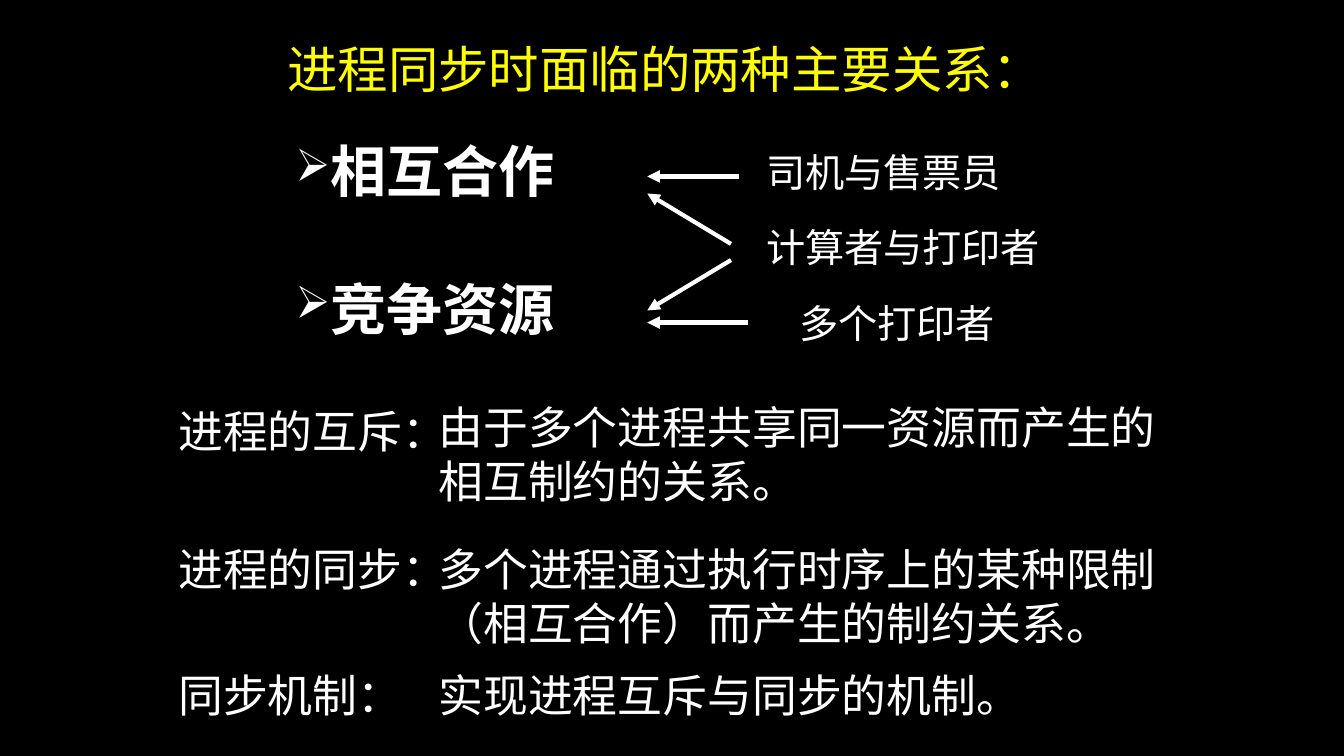
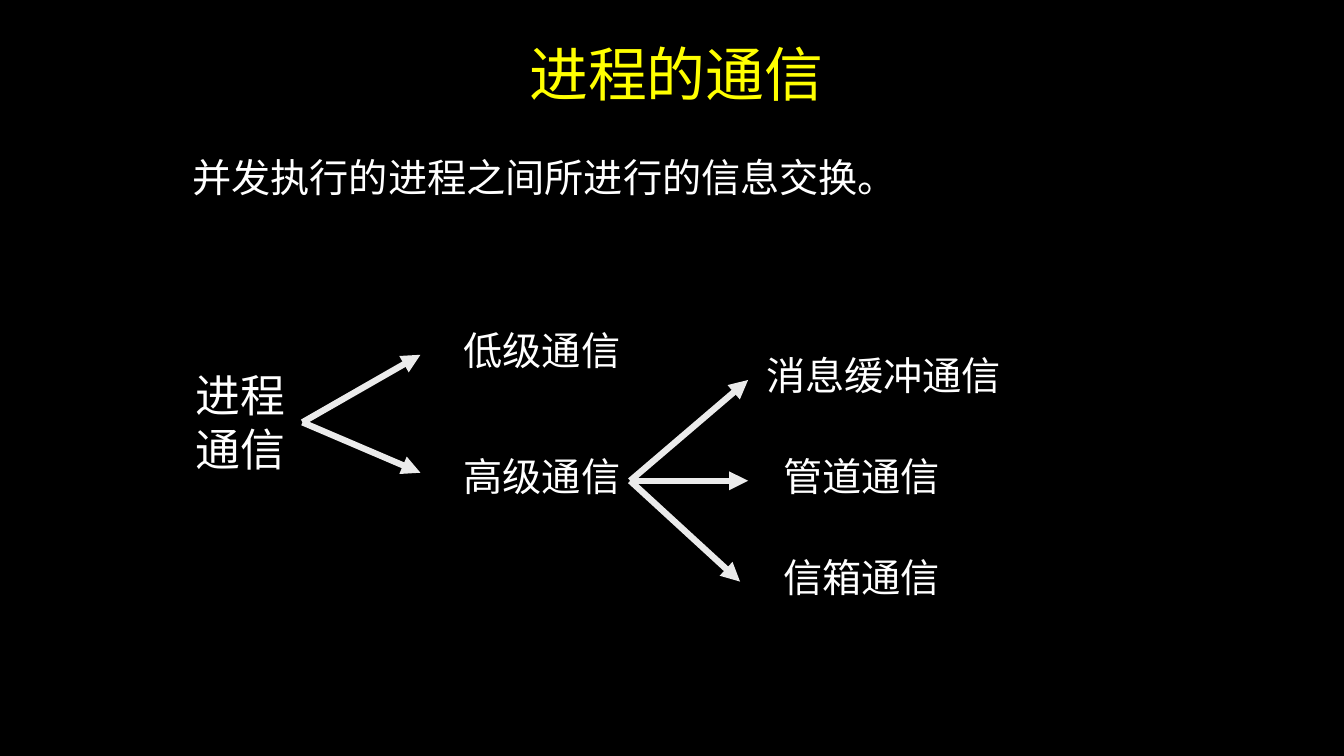
from lxml import etree
from pptx import Presentation
from pptx.dml.color import RGBColor
from pptx.enum.shapes import MSO_CONNECTOR
from pptx.enum.text import MSO_ANCHOR, PP_ALIGN
from pptx.oxml.ns import qn
from pptx.util import Inches, Pt

STRAIGHT = MSO_CONNECTOR.STRAIGHT
TOP = MSO_ANCHOR.TOP
LEFT = PP_ALIGN.LEFT

COLORS = {"background": "000000", "title": "FFFF00", "text": "FFFFFF", "branch": "EBEBEB"}
BODY_FONT = "League Spartan"
TITLE_FONT = "Noto Sans CJK SC"
BLANK_LAYOUT = 6


def color(name):
    return RGBColor.from_string(COLORS[name])


def add_text(slide, box, lines, size, color_name="text", font_name=BODY_FONT,
             bold=False, bullet=None, wrap=True):
    shape = slide.shapes.add_textbox(*(Inches(length) for length in box))
    frame = shape.text_frame
    for name, value in {"word_wrap": wrap, "vertical_anchor": TOP}.items():
        setattr(frame, name, value)
    frame.text = lines
    for paragraph in frame.paragraphs:
        paragraph.alignment = LEFT
        if bullet:
            properties = paragraph._p.get_or_add_pPr()
            etree.SubElement(properties, qn("a:buSzPct"), val="80000")
            etree.SubElement(properties, qn("a:buChar"), char=bullet)
        for run in paragraph.runs:
            formats = {"size": Pt(size), "bold": bold, "name": font_name}
            for name, value in formats.items():
                setattr(run.font, name, value)
            run.font.color.rgb = color(color_name)
            etree.SubElement(run.font._element, qn("a:ea"), typeface=font_name)
    return shape


def add_title(slide, box, text, size, font_name=BODY_FONT):
    add_text(slide, box, text, size, "title", font_name)


def add_arrow(slide, start, end, color_name, width):
    points = (Inches(length) for length in (*start, *end))
    connector = slide.shapes.add_connector(STRAIGHT, *points)
    connector.line.width = Pt(width)
    connector.line.color.rgb = color(color_name)
    etree.SubElement(connector.line._get_or_add_ln(), qn("a:tailEnd"), type="triangle")
    etree.SubElement(connector._element.spPr, qn("a:effectLst"))


def add_relations(slide, box):
    left, top, width, height = box
    for row, text in enumerate(("相互合作", "竞争资源")):
        add_text(slide, (left, top + row * 1.36, 3.42, 0.77), text, 40,
                 bold=True, bullet="➢")

    examples = (("司机与售票员", 4.67, 2.58, True),
                ("计算者与打印者", 4.67, 2.94, True),
                ("多个打印者", 5, 2.15, False))
    for row, (text, offset, text_width, wrap) in enumerate(examples):
        add_text(slide, (left + offset, top + 0.11 + row * 0.75, text_width, 0.57),
                 text, 28, wrap=wrap)

    arrows = ((4.5, 0.44, 0.44), (4.42, 1.11, 0.61),
              (4.42, 1.27, 1.77), (4.59, 1.89, 1.89))
    for start_x, start_y, end_y in arrows:
        add_arrow(slide, (left + start_x, top + start_y),
                  (left + 3.59, top + end_y), "text", 3)


def add_definitions(slide, box):
    left, top, width, height = box
    term_width = 2.58
    definitions = (
        (0, 0.04, 1.17, "进程的互斥：", "由于多个进程共享同一资源而产生的相互制约的关系。"),
        (1.41, 0, 1.17, "进程的同步：", "多个进程通过执行时序上的某种限制（相互合作）而产生的制约关系。"),
        (2.66, 0, 0.63, "同步机制：", "实现进程互斥与同步的机制。"),
    )
    for offset, term_shift, text_height, term, text in definitions:
        add_text(slide, (left, top + offset + term_shift, term_width, 0.63), term, 32)
        add_text(slide, (left + term_width, top + offset, width - term_width, text_height),
                 text, 32)


def add_fan(slide, origin, ends):
    for end in ends:
        add_arrow(slide, origin, end, "branch", 4.5)


def add_communication_tree(slide, box):
    left, top, width, height = box
    add_text(slide, (left, top + 0.41, 1.58, 1.21), "进程\n通信", 32)
    add_fan(slide, (left + 1.16, top + 1),
            [(left + 2.33, top + y) for y in (0.33, 1.5)])

    for row, text in enumerate(("低级通信", "高级通信")):
        add_text(slide, (left + 2.66, top + row * 1.25, 2.08, 0.57), text, 28)
    add_fan(slide, (left + 4.41, top + 1.58),
            [(left + x, top + y) for x, y in ((5.58, 0.58), (5.58, 1.58), (5.5, 2.58))])

    kinds = (("消息缓冲通信", 5.66, 2.75), ("管道通信", 5.83, 2.08), ("信箱通信", 5.83, 2.5))
    for row, (text, offset, text_width) in enumerate(kinds):
        add_text(slide, (left + offset, top + 0.25 + row, text_width, 0.57), text, 28)


def add_relations_slide(presentation):
    slide = presentation.slides.add_slide(presentation.slide_layouts[BLANK_LAYOUT])
    add_title(slide, (2.75, 0.33, 8.01, 0.83), "进程同步时面临的两种主要关系：", 36)
    add_relations(slide, (2.83, 1.31, 7.61, 2.18))
    add_definitions(slide, (1.67, 3.92, 10, 3.29))


def add_communication_slide(presentation):
    slide = presentation.slides.add_slide(presentation.slide_layouts[BLANK_LAYOUT])
    add_title(slide, (5.15, 0.32, 3.38, 1.01), "进程的通信", 42, TITLE_FONT)
    add_text(slide, (1.81, 1.47, 7.73, 0.57), "并发执行的进程之间所进行的信息交换。", 28)
    add_communication_tree(slide, (1.84, 3.19, 8.41, 2.82))


def main():
    presentation = Presentation()
    presentation.slide_width = Inches(13.33)
    presentation.slide_height = Inches(7.5)
    fill = presentation.slide_master.background.fill
    fill.solid()
    fill.fore_color.rgb = color("background")
    add_relations_slide(presentation)
    add_communication_slide(presentation)
    presentation.save("out.pptx")


if __name__ == "__main__":
    main()
